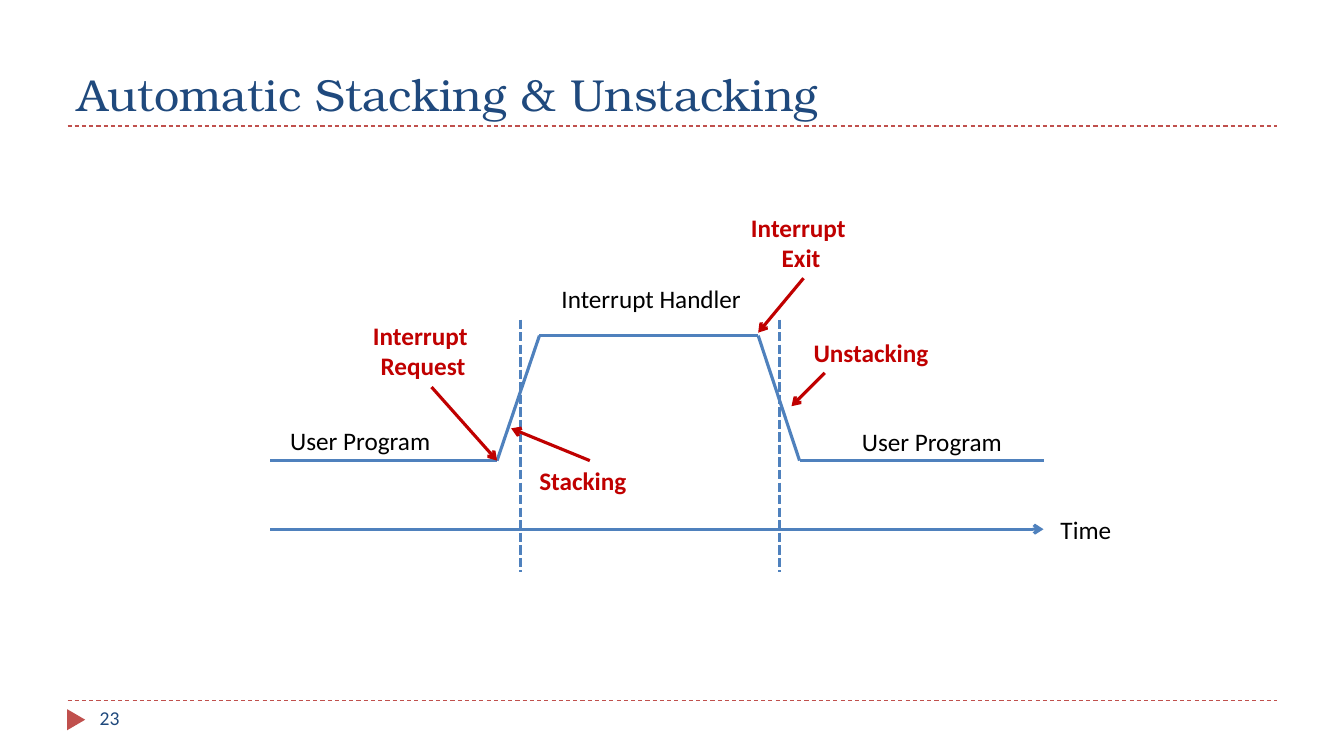
import itertools

import pptx
import pptx.dml.color
import pptx.enum.dml
import pptx.enum.shapes
import pptx.enum.text
import pptx.oxml.ns
import pptx.util
from lxml import etree

Inches = pptx.util.Inches
RGBColor = pptx.dml.color.RGBColor
Dash = pptx.enum.dml.MSO_LINE
Align = pptx.enum.text.PP_ALIGN
Anchor = pptx.enum.text.MSO_ANCHOR

NAVY = RGBColor(0x1F, 0x49, 0x7D)
BLUE = RGBColor(0x4F, 0x81, 0xBD)
BRICK = RGBColor(0xC0, 0x50, 0x4D)
RED = RGBColor(0xC0, 0x00, 0x00)
BLACK = RGBColor(0x00, 0x00, 0x00)


def write_text(shape, lines, font="Calibri", size=18, color=BLACK, bold=False,
               alignments=(Align.LEFT,), anchor=Anchor.TOP):
    """Fill a shape with one formatted paragraph per line."""
    frame = shape.text_frame
    frame.word_wrap = True
    frame.vertical_anchor = anchor
    frame.text = "\n".join(lines)
    for paragraph, alignment in zip(frame.paragraphs, alignments):
        paragraph.alignment = alignment
        paragraph.font.name = font
        paragraph.font.size = pptx.util.Pt(size)
        paragraph.font.bold = bold
        paragraph.font.color.rgb = color


def add_label(slide, left, top, width, height, lines, **text_format):
    """Add a text box with formatted lines."""
    shape = slide.shapes.add_textbox(
        Inches(left), Inches(top), Inches(width), Inches(height))
    write_text(shape, lines, **text_format)


def add_line(slide, start, end, color=BLUE, weight=2.25, dash=None, arrow=False):
    """Add a straight connector, with an arrowhead at its end if asked."""
    connector = slide.shapes.add_connector(
        pptx.enum.shapes.MSO_CONNECTOR.STRAIGHT, *map(Inches, (*start, *end)))
    connector.line.color.rgb = color
    connector.line.width = pptx.util.Pt(weight)
    if dash is not None:
        connector.line.dash_style = dash
    if arrow:
        etree.SubElement(connector.line._get_or_add_ln(),
                         pptx.oxml.ns.qn("a:tailEnd"), type="arrow")
    etree.SubElement(connector._element.spPr, pptx.oxml.ns.qn("a:effectLst"))


def draw_heading(slide, left, top, width, height, title):
    """Place the title above its dashed rule."""
    shape = slide.shapes.title
    shape.left, shape.top, shape.width, shape.height = map(
        Inches, (left, top, width, height))
    write_text(shape, [title], font="TeX Gyre Bonum", size=32, color=NAVY,
               anchor=Anchor.BOTTOM)
    bottom = top + height
    add_line(slide, (left, bottom), (left + width, bottom), BRICK, 0.75, Dash.DASH)


def draw_footer(slide, left, top, width, number):
    """Place the dashed rule, the marker and the slide number."""
    add_line(slide, (left, top), (left + width, top), BRICK, 0.75, Dash.DASH)
    marker = slide.shapes.add_shape(
        pptx.enum.shapes.MSO_SHAPE.ISOSCELES_TRIANGLE,
        Inches(left - 0.02), Inches(top + 0.1), Inches(0.21), Inches(0.18))
    marker.rotation = 90
    marker.shadow.inherit = False
    marker.fill.solid()
    marker.fill.fore_color.rgb = BRICK
    marker.line.fill.background()
    add_label(slide, left + 0.22, top, 2.89, 0.4, [number], size=14, color=NAVY)


def draw_timeline(slide, left, top, width):
    """Draw the execution trace, its time axis and the labelled events."""
    def place(x, y):
        return left + x, top + y

    handler, user, axis = 1.27, 2.51, 3.19
    request, entered, leaving, returned = 2.25, 2.67, 4.84, 5.25

    add_line(slide, place(0, axis), place(width, axis), arrow=True)
    trace = [(0, user), (request, user), (entered, handler),
             (leaving, handler), (returned, user), (width, user)]
    for start, end in itertools.pairwise(trace):
        add_line(slide, place(*start), place(*end))
    for x in (2.48, 5.05):
        add_line(slide, place(x, 1.11), place(x, 3.61), dash=Dash.SQUARE_DOT)

    for x, y, label_width, label in [
        (2.79, 0.7, 2.02, "Interrupt Handler"),
        (0.1, 2.11, 1.64, "User Program"),
        (5.77, 2.12, 1.64, "User Program"),
    ]:
        add_label(slide, *place(x, y), label_width, 0.4, [label])
    add_label(slide, *place(width, 2.99), 0.84, 0.4, ["Time"],
              alignments=[Align.CENTER])

    events = [
        (["Interrupt", "Request"], (0.92, 1.07, 1.19), (1.6, 1.78), (request, user)),
        (["Stacking"], (2.57, 2.51, 1.21), (3.17, 2.51), (2.39, 2.19)),
        (["Unstacking"], (5.29, 1.24, 1.52), (5.5, 1.64), (5.17, 1.97)),
        (["Interrupt", "Exit"], (4.67, 0, 1.19), (5.29, 0.7), (leaving, 1.24)),
    ]
    for lines, (x, y, label_width), start, end in events:
        add_line(slide, place(*start), place(*end), RED, arrow=True)
        add_label(slide, *place(x, y), label_width, 0.1 + 0.3 * len(lines), lines,
                  color=RED, bold=True, alignments=[Align.LEFT, Align.CENTER])


def main():
    """Build and save the presentation."""
    presentation = pptx.Presentation()
    presentation.slide_width = Inches(13.33)
    presentation.slide_height = Inches(7.5)
    slide = presentation.slides.add_slide(presentation.slide_layouts[5])
    draw_heading(slide, 0.67, 0.17, 12, 1.08, "Automatic Stacking & Unstacking")
    draw_footer(slide, 0.67, 6.95, 12, "23")
    draw_timeline(slide, 2.68, 2.06, 7.67)
    presentation.save("out.pptx")


if __name__ == "__main__":
    main()
